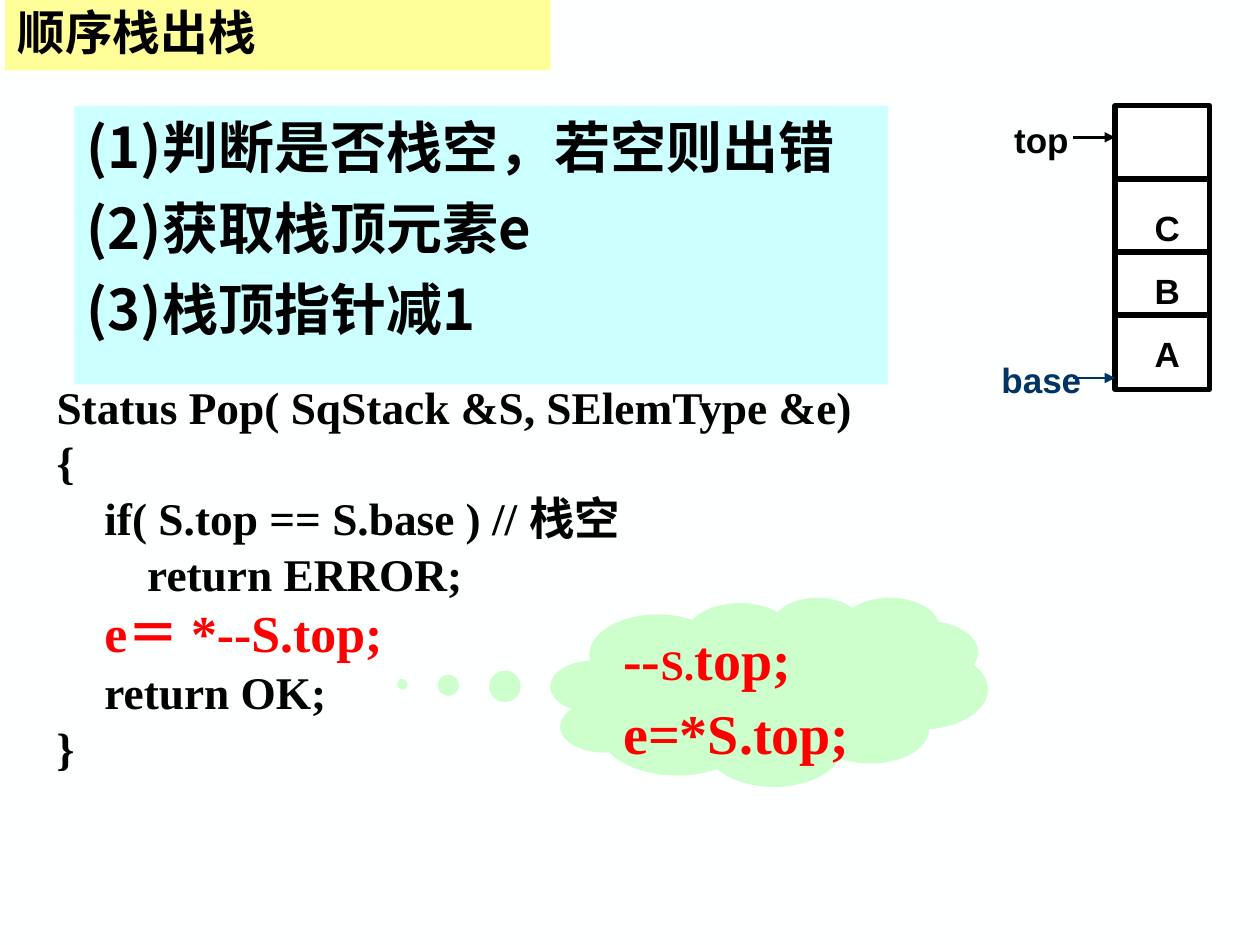
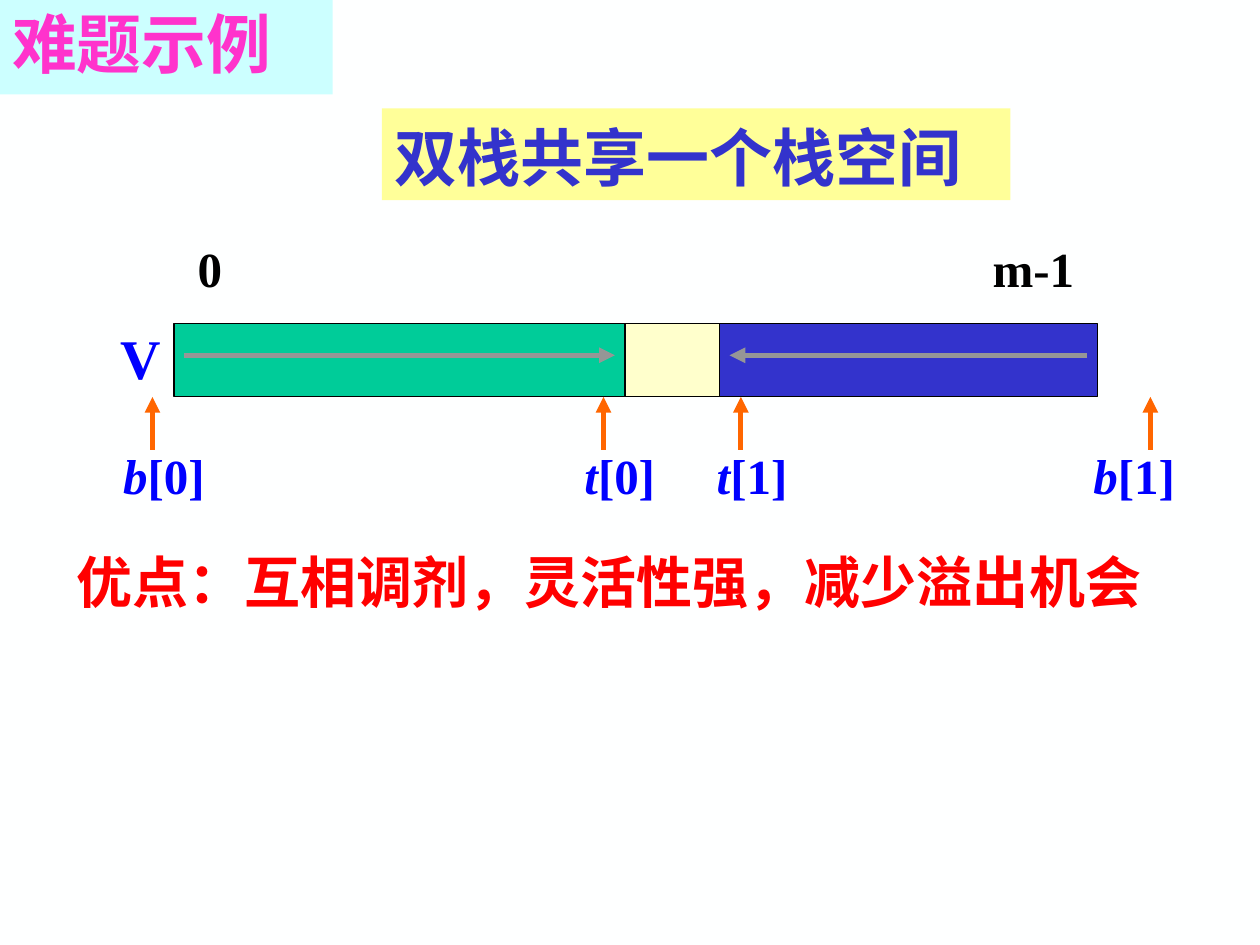
import pptx
import pptx.dml.color
import pptx.enum.shapes
import pptx.enum.text
import pptx.oxml.ns
import pptx.util
from lxml import etree

Inches = pptx.util.Inches
Pt = pptx.util.Pt
RGB = pptx.dml.color.RGBColor
SHAPE = pptx.enum.shapes.MSO_SHAPE
ANCHOR = pptx.enum.text.MSO_ANCHOR
ALIGN = pptx.enum.text.PP_ALIGN
qn = pptx.oxml.ns.qn

PAPER = RGB(0xFE, 0xFF, 0xFF)
WHITE = RGB(0xFF, 0xFF, 0xFF)
BLACK = RGB(0x00, 0x00, 0x00)
CYAN = RGB(0xCC, 0xFF, 0xFF)
YELLOW = RGB(0xFF, 0xFF, 0x99)
CREAM = RGB(0xFF, 0xFF, 0xCC)
MINT = RGB(0xCC, 0xFF, 0xCC)
GREEN = RGB(0x00, 0xCC, 0x99)
INDIGO = RGB(0x33, 0x33, 0xCC)
BLUE = RGB(0x00, 0x00, 0xFF)
NAVY = RGB(0x00, 0x33, 0x66)
RED = RGB(0xFF, 0x00, 0x00)
PINK = RGB(0xFF, 0x33, 0xCC)
ORANGE = RGB(0xFF, 0x66, 0x00)
GREY = RGB(0x96, 0x96, 0x96)

SANS = "Noto Sans CJK SC"
SERIF = "Times New Roman"
ARIAL = "Arial"


# Shared building blocks
def add_slide(prs):
    slide = prs.slides.add_slide(prs.slide_layouts[6])
    slide.background.fill.solid()
    slide.background.fill.fore_color.rgb = PAPER
    return slide


def add_block(slide, box, fill, line_width=0, kind=SHAPE.RECTANGLE):
    sp = slide.shapes.add_shape(kind, *map(Inches, box))
    sp.shadow.inherit = False
    sp.fill.solid()
    sp.fill.fore_color.rgb = fill
    if line_width:
        sp.line.color.rgb = BLACK
        sp.line.width = Pt(line_width)
    else:
        sp.line.fill.background()
    return sp


def add_line(slide, start, end, color, width, arrow=False):
    line = slide.shapes.add_connector(
        pptx.enum.shapes.MSO_CONNECTOR.STRAIGHT, *map(Inches, start + end))
    line.line.color.rgb = color
    line.line.width = Pt(width)
    if arrow:
        etree.SubElement(line.line._get_or_add_ln(), qn("a:tailEnd"), type="triangle")
    etree.SubElement(line._element.spPr, qn("a:effectLst"))


def set_font(p, name, size, color):
    p.font.name = name
    p.font.size = Pt(size)
    p.font.bold = True
    p.font.color.rgb = color
    ea = etree.SubElement(p._p.pPr.find(qn("a:defRPr")), qn("a:ea"))
    ea.set("typeface", SANS)


def write(sp, lines, font, size, color, align=ALIGN.LEFT, anchor=ANCHOR.TOP,
          spacing=None, before=0, hanging=0):
    """Each line is a string or a list of (text, font overrides) runs."""
    tf = sp.text_frame
    tf.word_wrap = True
    tf.vertical_anchor = anchor
    for i, line in enumerate(lines):
        p = tf.paragraphs[0] if i == 0 else tf.add_paragraph()
        p.alignment = align
        p.line_spacing = spacing
        p.space_before = Pt(before if i else 0)
        if hanging:
            pPr = p._p.get_or_add_pPr()
            pPr.set("marL", str(Inches(hanging)))
            pPr.set("indent", str(-Inches(hanging)))
        set_font(p, font, size, color)
        for text, overrides in [(line, {})] if isinstance(line, str) else line:
            r = p.add_run()
            r.text = text
            for key, value in overrides.items():
                setattr(r.font, key, value)


def add_text(slide, box, lines, font, size, color, **layout):
    sp = slide.shapes.add_textbox(*map(Inches, box))
    write(sp, lines, font, size, color, **layout)


def add_title(slide, box, text, fill, size, color):
    write(add_block(slide, box, fill), [text], SANS, size, color,
          anchor=ANCHOR.MIDDLE, spacing=0.9)


# Slide 1 regions
def add_steps(slide, box):
    steps = ["(1)判断是否栈空，若空则出错", "(2)获取栈顶元素e", "(3)栈顶指针减1"]
    write(add_block(slide, box, CYAN), steps, SANS, 32, BLACK, before=8, hanging=0.67)


def add_code(slide, box):
    code = [
        "Status Pop( SqStack &S, SElemType &e)",
        "{",
        "\tif( S.top == S.base ) // 栈空",
        "        return ERROR;",
        [("\t", {}), ("e＝ *--S.top;", {"size": Pt(29.6)})],
        "\treturn OK;",
        "}",
    ]
    add_text(slide, box, code, SERIF, 25.9, BLACK, spacing=0.8, before=7, hanging=0.38)
    slide.shapes[-1].text_frame.paragraphs[4].runs[1].font.color.rgb = RED


def add_cloud(slide, box):
    sp = add_block(slide, box, MINT, kind=SHAPE.CLOUD_CALLOUT)
    sp.adjustments[0], sp.adjustments[1] = -0.839, -0.039
    lines = [[("--", {}), ("S.", {"size": Pt(24)}), ("top;", {})], "e=*S.top;"]
    write(sp, lines, SERIF, 32, RED, spacing=0.9, before=8, hanging=0.38)


def add_stack(slide, box):
    left, top, width, height = box
    right = left + width
    add_block(slide, box, WHITE, 3)
    for dy in (0.58, 1.16, 1.66):
        add_line(slide, (left, top + dy), (right, top + dy), BLACK, 3)
    # Elements, from the top of the stack down
    for i, name in enumerate("CBA"):
        add_text(slide, (left + 0.08, top + 0.75 + 0.5 * i, 0.67, 0.44), [name],
                 ARIAL, 20, BLACK, align=ALIGN.CENTER)
    # Pointers
    for name, dy, color in (("top", 0.25, BLACK), ("base", 2.16, NAVY)):
        y = top + dy
        add_line(slide, (left - 0.33, y), (left, y), color, 1.5, arrow=True)
        add_text(slide, (left - 1.25, y - 0.2, 1.33, 0.44), [name],
                 ARIAL, 20, color, align=ALIGN.CENTER)


def build_pop_slide(prs):
    slide = add_slide(prs)
    add_steps(slide, (0.59, 0.84, 6.46, 2.21))
    add_title(slide, (0.04, 0, 4.33, 0.56), "顺序栈出栈", YELLOW, 27.2, BLACK)
    add_code(slide, (0.35, 3.04, 9.45, 3.2))
    add_cloud(slide, (4.37, 4.74, 3.47, 1.5))
    add_stack(slide, (8.85, 0.84, 0.75, 2.25))


# Slide 2 regions
def add_shared_space(slide, box):
    left, top, width, height = box
    right, bottom = left + width, top + height
    # Two stacks with the free space between them
    x = left
    for part, fill in ((3.58, GREEN), (0.75, CREAM), (3, INDIGO)):
        add_block(slide, (x, top, part, height), fill, 0.75)
        x += part
    # Directions of growth
    y = top + 0.25
    for start, end in ((left + 0.08, left + 3.5), (right - 0.08, right - 2.92)):
        add_line(slide, (start, y), (end, y), GREY, 3, arrow=True)
    # Array name and end indices
    add_text(slide, (left - 0.52, top - 0.05, 0.6, 0.64), ["V"], SERIF, 32, BLUE)
    for text, dx in (("0", 0.09), ("m-1", 6.4)):
        add_text(slide, (left + dx, top - 0.73, 1, 0.57), [text], SERIF, 28, BLACK)
    # Base and top pointers: arrow offset, label offset
    pointers = (("b", 0, -0.17, -0.5), ("t", 0, 3.41, 3.16),
                ("t", 1, 4.5, 4.21), ("b", 1, 7.75, 7.2))
    for name, index, arrow_dx, label_dx in pointers:
        x = left + arrow_dx
        add_line(slide, (x, bottom + 0.42), (x, bottom), ORANGE, 3, arrow=True)
        label = [(name, {"italic": True}), (f"[{index}]", {})]
        add_text(slide, (left + label_dx, bottom + 0.34, 1, 0.57), [label],
                 SERIF, 28, BLUE)


def build_shared_stack_slide(prs):
    slide = add_slide(prs)
    add_title(slide, (0, 0, 2.64, 0.75), "难题示例", CYAN, 37, PINK)
    add_shared_space(slide, (1.38, 2.57, 7.33, 0.58))
    write(add_block(slide, (3.03, 0.86, 4.99, 0.73), YELLOW),
          ["双栈共享一个栈空间"], SERIF, 36, INDIGO, spacing=1.05)
    add_text(slide, (0.51, 4.3, 8.92, 0.64),
             ["优点：互相调剂，灵活性强，减少溢出机会"], SERIF, 32, RED)


def main():
    prs = pptx.Presentation()
    prs.slide_width, prs.slide_height = Inches(10), Inches(7.5)
    build_pop_slide(prs)
    build_shared_stack_slide(prs)
    prs.save("out.pptx")


if __name__ == "__main__":
    main()
